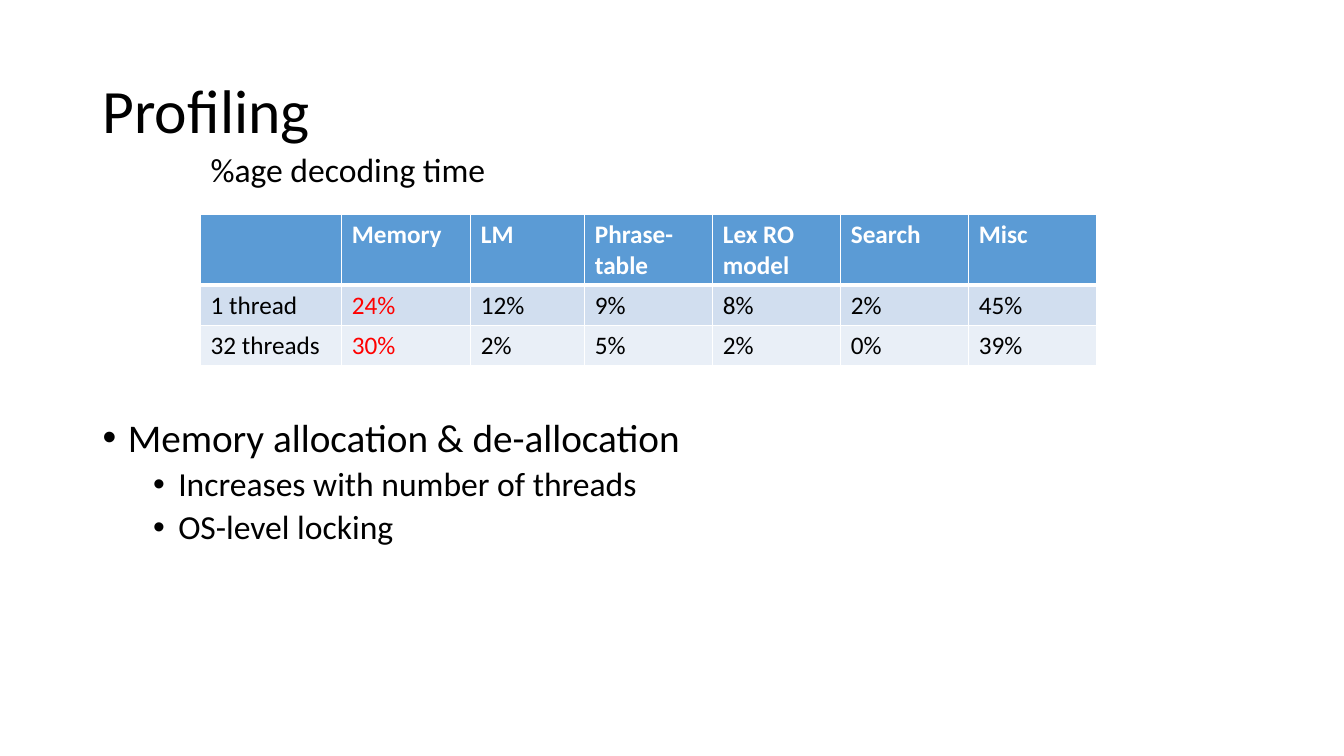
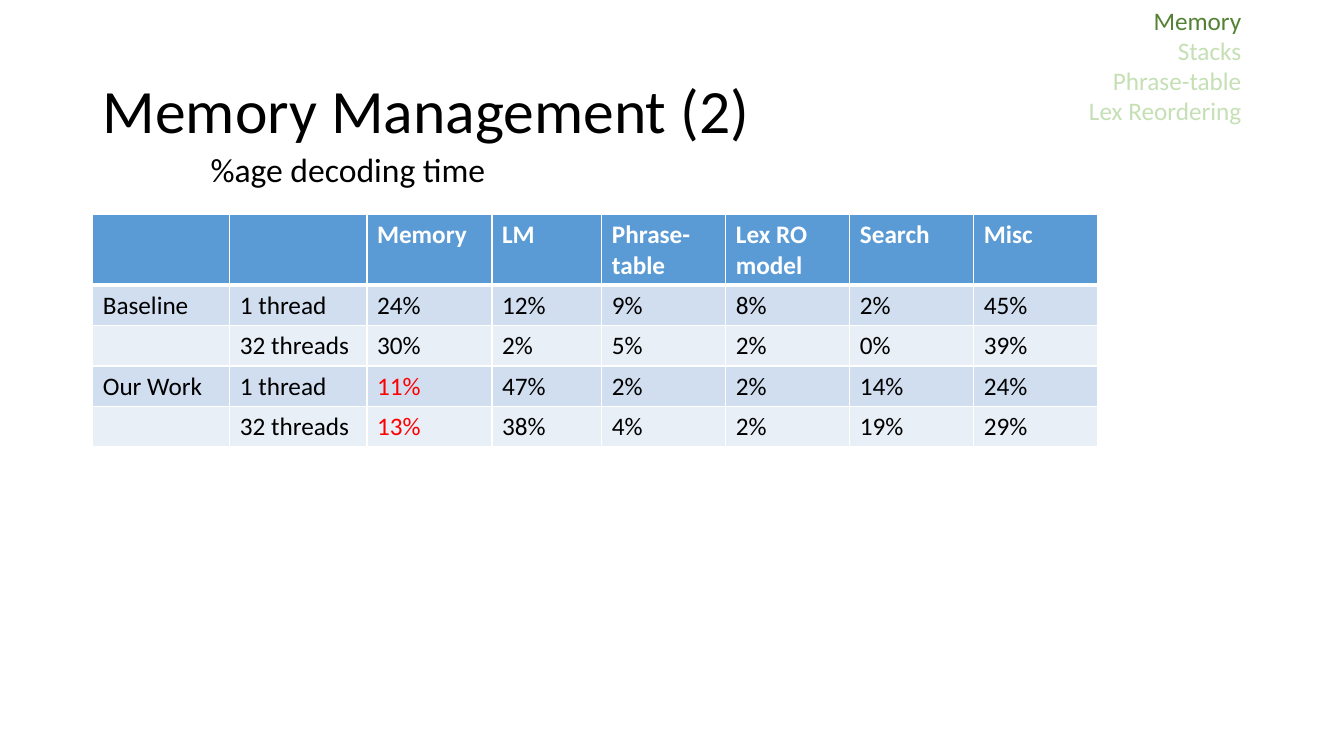
from lxml import etree
from pptx import Presentation
from pptx.dml.color import RGBColor
from pptx.enum.text import MSO_ANCHOR, PP_ALIGN
from pptx.oxml.ns import qn
from pptx.util import Inches, Pt

MIDDLE, TOP = MSO_ANCHOR.MIDDLE, MSO_ANCHOR.TOP
LEFT, RIGHT = PP_ALIGN.LEFT, PP_ALIGN.RIGHT

FONT = "Calibri"
BLACK, WHITE, RED = "000000", "FFFFFF", "FF0000"
HEADER_FILL = "5B9BD5"
BAND_FILLS = ("D1DEEF", "E9EFF7")
ACTIVE_GREEN, FADED_GREEN = "548235", "C5E0B4"
THIN, THICK = 0.96, 3

TITLE_BOX = (0.92, 0.4, 11.5, 1.45)
CAPTION_BOX = (1.99, 1.43, 3.16, 0.5)
BODY_BOX = (0.92, 4.1, 11.5, 2.66)
TOPICS_BOX = (10.56, 0, 1.85, 1.3)
TABLE_TOP, HEADER_HEIGHT, ROW_HEIGHT = 2.13, 0.7, 0.4

TOPICS = ("Memory", "Stacks", "Phrase-table", "Lex Reordering")
MEASURES = ["Memory", "LM", "Phrase-table", "Lex RO model", "Search", "Misc"]
ONE_THREAD = ["1 thread", "24%", "12%", "9%", "8%", "2%", "45%"]
MANY_THREADS = ["32 threads", "30%", "2%", "5%", "2%", "0%", "39%"]


def rgb(color):
    return RGBColor.from_string(color)


def write(paragraph, text, size, color=BLACK, bold=False):
    paragraph.text = text
    font = paragraph.runs[0].font if text else paragraph.font
    font.name, font.size, font.bold = FONT, Pt(size), bold
    font.color.rgb = rgb(color)


def add_text(slide, box, lines, size, anchor=TOP, align=LEFT):
    """Place (text, color) lines in a box and return their paragraphs."""
    frame = slide.shapes.add_textbox(*map(Inches, box)).text_frame
    frame.word_wrap = True
    frame.vertical_anchor = anchor
    for index, (text, color) in enumerate(lines):
        paragraph = frame.paragraphs[0] if index == 0 else frame.add_paragraph()
        paragraph.alignment = align
        write(paragraph, text, size, color)
    return frame.paragraphs


def add_bullets(slide, box, items):
    """Place (level, text) items as a bulleted outline."""
    paragraphs = add_text(slide, box, [(text, BLACK) for _, text in items], 28)
    for paragraph, (level, _) in zip(paragraphs, items):
        paragraph.level = level
        paragraph.line_spacing = 0.9
        paragraph.space_before = Pt(5 if level else 10)
        paragraph.runs[0].font.size = Pt(24 if level else 28)
        properties = paragraph._p.get_or_add_pPr()
        properties.set("marL", str(Inches(0.25 + 0.5 * level)))
        properties.set("indent", str(Inches(-0.25)))
        etree.SubElement(properties, qn("a:buFont"), typeface="Arial")
        etree.SubElement(properties, qn("a:buChar"), char="•")


def set_borders(cell, top, bottom):
    properties = cell._tc.get_or_add_tcPr()
    sides = (("L", THIN), ("R", THIN), ("T", top), ("B", bottom))
    for index, (side, width) in enumerate(sides):
        line = etree.Element(qn(f"a:ln{side}"), w=str(Pt(width)))
        fill = etree.SubElement(line, qn("a:solidFill"))
        etree.SubElement(fill, qn("a:srgbClr"), val=WHITE)
        properties.insert(index, line)


def add_timing_table(slide, left, widths, rows, red_cells):
    """Draw a header row over banded rows, with chosen cells in red."""
    height = HEADER_HEIGHT + ROW_HEIGHT * (len(rows) - 1)
    box = map(Inches, (left, TABLE_TOP, sum(widths), height))
    table = slide.shapes.add_table(len(rows), len(widths), *box).table
    for column, width in zip(table.columns, widths):
        column.width = Inches(width)
    for r, texts in enumerate(rows):
        header = r == 0
        table.rows[r].height = Inches(HEADER_HEIGHT if header else ROW_HEIGHT)
        for c, text in enumerate(texts):
            cell = table.cell(r, c)
            cell.fill.solid()
            cell.fill.fore_color.rgb = rgb(HEADER_FILL if header else BAND_FILLS[(r - 1) % 2])
            set_borders(cell, THICK if r == 1 else THIN, THICK if header else THIN)
            color = WHITE if header else RED if (r, c) in red_cells else BLACK
            write(cell.text_frame.paragraphs[0], text, 18, color, header)


def add_timing_slide(presentation, title):
    """Start a blank slide with the shared title and table caption."""
    slide = presentation.slides.add_slide(presentation.slide_layouts[6])
    add_text(slide, TITLE_BOX, [(title, BLACK)], 44, MIDDLE)[0].line_spacing = 0.9
    add_text(slide, CAPTION_BOX, [("%age decoding time", BLACK)], 24)
    return slide


def build_profiling(presentation):
    slide = add_timing_slide(presentation, "Profiling")
    add_timing_table(
        slide, 1.99, [1.4, 1.28, 1.13] + [1.27] * 4,
        [[""] + MEASURES, ONE_THREAD, MANY_THREADS],
        {(1, 1), (2, 1)},
    )
    add_bullets(slide, BODY_BOX, [
        (0, "Memory allocation & de-allocation"),
        (1, "Increases with number of threads"),
        (1, "OS-level locking"),
    ])


def build_memory_management(presentation):
    slide = add_timing_slide(presentation, "Memory Management (2)")
    add_timing_table(
        slide, 0.92, [1.36, 1.36, 1.24, 1.09] + [1.23] * 4,
        [
            ["", ""] + MEASURES,
            ["Baseline"] + ONE_THREAD,
            [""] + MANY_THREADS,
            ["Our Work", "1 thread", "11%", "47%", "2%", "2%", "14%", "24%"],
            ["", "32 threads", "13%", "38%", "4%", "2%", "19%", "29%"],
        ],
        {(3, 2), (4, 2)},
    )
    # Topic tracker in the corner
    topics = [(topic, ACTIVE_GREEN if topic == "Memory" else FADED_GREEN) for topic in TOPICS]
    add_text(slide, TOPICS_BOX, topics, 18, align=RIGHT)


def main():
    presentation = Presentation()
    presentation.slide_width = Inches(13.33)
    presentation.slide_height = Inches(7.5)
    build_profiling(presentation)
    build_memory_management(presentation)
    presentation.save("out.pptx")


if __name__ == "__main__":
    main()
